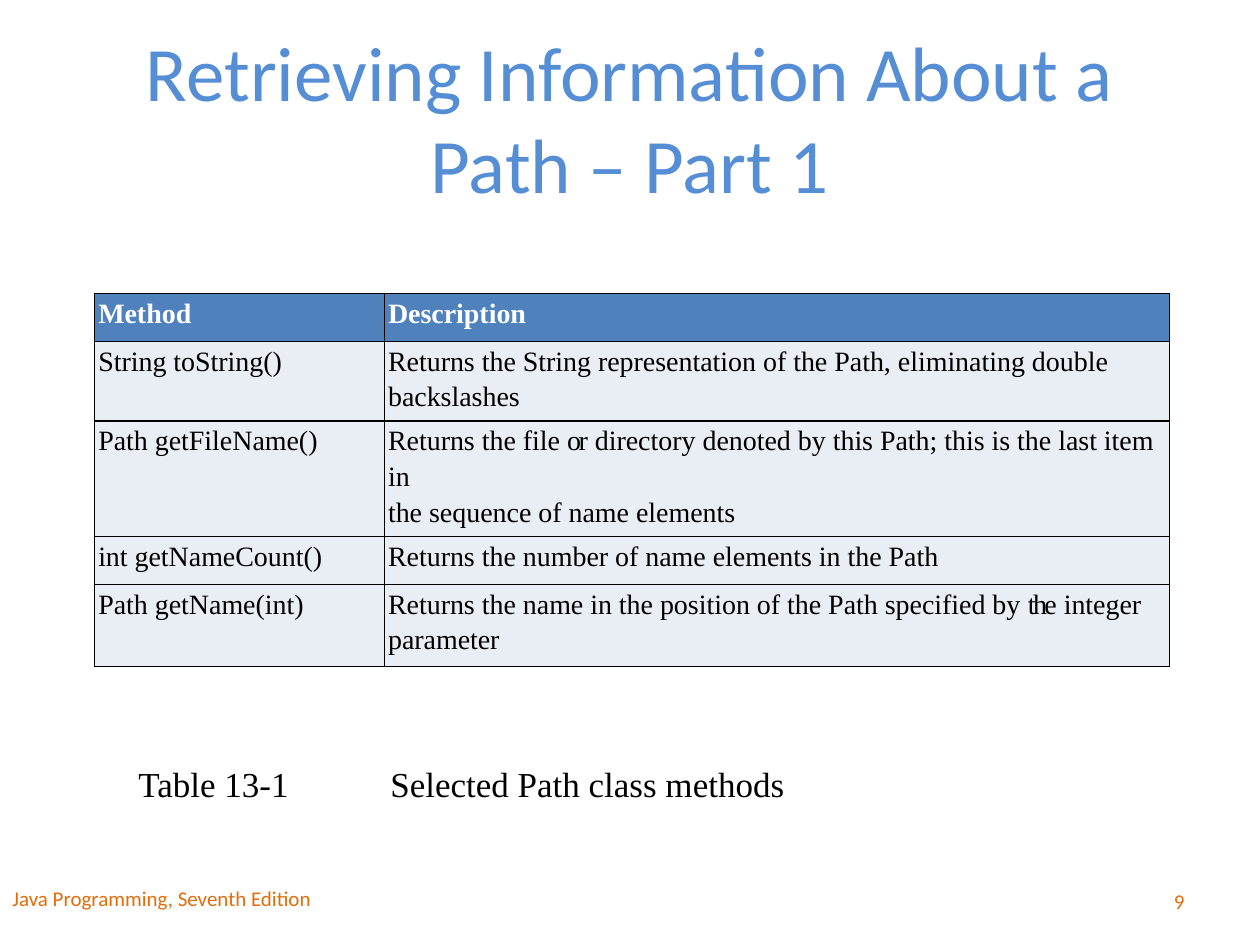
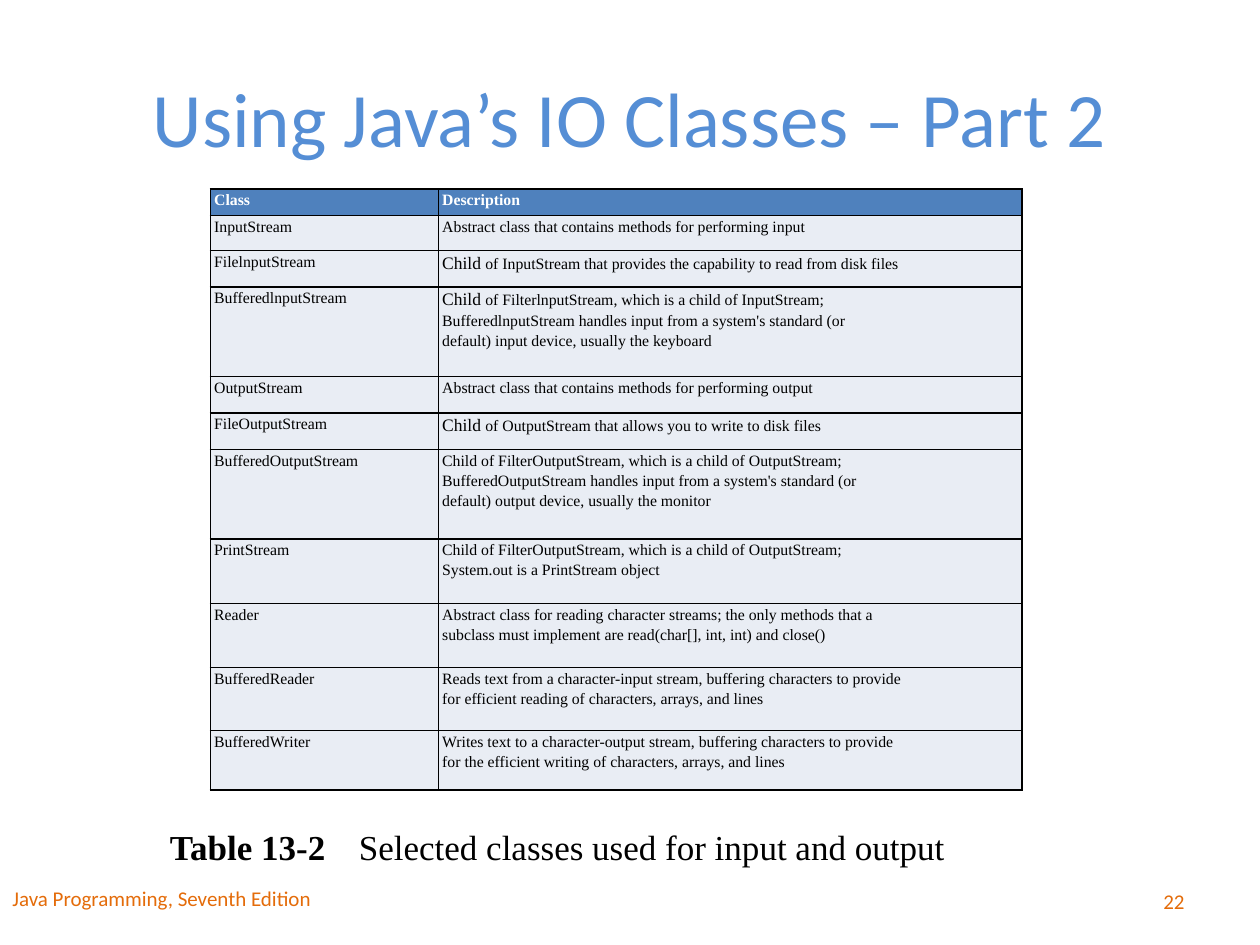
from pptx import Presentation
from pptx.dml.color import RGBColor
from pptx.enum.text import MSO_ANCHOR, PP_ALIGN
from pptx.oxml import parse_xml
from pptx.oxml.ns import nsdecls
from pptx.util import Inches, Pt

COLORS = {"title": "558ED5", "foot": "E46C0A", "head": "4F81BD",
          "body": "E9EDF4", "ink": "000000", "white": "FFFFFF"}
SANS, SERIF = "Calibri", "Times New Roman"
TITLE, FOOT, PAGE = (0.5, 0.3, 9, 1.25), (0, 6.92, 6.42, 0.42), (7.17, 6.95, 2.33, 0.4)


def tight(text):
    return text, {"spc": -1.5}


CHILD = ("Child ", {"size": 10})

# A cell is a list of lines; a line is a list of runs, plain or (text, options).
METHODS = [
    ("String toString()", [
        ["Returns the String representation of the Path, eliminating double"],
        ["backslashes"]]),
    ("Path getFileName()", [
        ["Returns the file ", tight("or"),
         " directory denoted by this Path; this is the last item in"],
        ["the sequence of name elements"]]),
    ("int getNameCount()", [["Returns the number of name elements in the Path"]]),
    ("Path getName(int)", [
        ["Returns the name in the position of the Path specified by ",
         tight("the"), " integer"],
        ["parameter"]]),
]
CLASSES = [
    ("InputStream", [["Abstract class that contains methods for performing input"]]),
    ("FilelnputStream", [
        [CHILD, "of InputStream that provides the capability to read from disk files"]]),
    ("BufferedlnputStream", [
        [CHILD, "of FilterlnputStream, which is a child of InputStream;"],
        ["BufferedlnputStream handles input from a system's standard (or"],
        ["default) input device, usually the keyboard"]]),
    ("OutputStream", [["Abstract class that contains methods for performing output"]]),
    ("FileOutputStream", [
        [CHILD, "of OutputStream that allows you to write to disk files"]]),
    ("BufferedOutputStream", [
        ["Child of FilterOutputStream, which is a child of OutputStream;"],
        ["BufferedOutputStream handles input from a system's standard (or"],
        ["default) output device, usually the monitor"]]),
    ("PrintStream", [
        ["Child of FilterOutputStream, which is a child of OutputStream;"],
        ["System.out is a PrintStream object"]]),
    ("Reader", [
        ["Abstract class for reading character streams; the only methods that a"],
        ["subclass must implement are read(char[], int, int) and close()"]]),
    ("BufferedReader", [
        ["Reads text from a character-input stream, buffering characters to provide"],
        ["for efficient reading of characters, arrays, and lines"]]),
    ("BufferedWriter", [
        ["Writes text to a character-output stream, buffering characters to provide"],
        ["for the efficient writing of characters, arrays, and lines"]]),
]


def add_run(para, text, font, size, color, bold=False, spc=0):
    run = para.add_run()
    run.text = text
    run.font.name, run.font.size, run.font.bold = font, Pt(size), bold
    run.font.color.rgb = RGBColor.from_string(COLORS[color])
    if spc:
        run.font._element.set("spc", str(int(spc * 100)))


def add_text(slide, box, runs, font, size, color,
             align=PP_ALIGN.LEFT, anchor=MSO_ANCHOR.MIDDLE):
    """Place one paragraph of (text, bold) runs in a box."""
    frame = slide.shapes.add_textbox(*map(Inches, box)).text_frame
    frame.word_wrap, frame.vertical_anchor = True, anchor
    para = frame.paragraphs[0]
    para.alignment = align
    for text, bold in runs:
        add_run(para, text, font, size, color, bold)


def add_frame(slide, title, page):
    """Add the title and the footer that every slide has."""
    add_text(slide, TITLE, [(title, False)], SANS, 44, "title", PP_ALIGN.CENTER)
    add_text(slide, PAGE, [(str(page), False)], SANS, 12, "foot", PP_ALIGN.RIGHT)
    add_text(slide, FOOT, [("Java Programming, Seventh Edition", False)],
             SANS, 12, "foot")


def add_border(cell):
    props = cell._tc.get_or_add_tcPr()
    for i, side in enumerate(("lnL", "lnR", "lnT", "lnB")):
        props.insert(i, parse_xml(
            f'<a:{side} {nsdecls("a")} w="12700"><a:solidFill>'
            f'<a:srgbClr val="{COLORS["ink"]}"/></a:solidFill></a:{side}>'))


def fill_cell(cell, lines, size, head):
    cell.margin_left = cell.margin_right = Inches(0.03)
    cell.margin_top = cell.margin_bottom = 0
    cell.fill.solid()
    cell.fill.fore_color.rgb = RGBColor.from_string(COLORS["head" if head else "body"])
    add_border(cell)
    frame = cell.text_frame
    for i, line in enumerate(lines):
        para = frame.add_paragraph() if i else frame.paragraphs[0]
        para.line_spacing = 1.15
        for part in line:
            text, opts = (part, {}) if isinstance(part, str) else part
            style = {"size": size, "color": "white" if head else "ink", **opts}
            add_run(para, text, SERIF, bold=head, **style)


def add_grid(slide, left, top, cols, heights, label, data, size):
    rows = [(label, [["Description"]])] + data
    table = slide.shapes.add_table(
        len(rows), len(cols), Inches(left), Inches(top),
        Inches(sum(cols)), Inches(sum(heights))).table
    table.horz_banding = False
    for col, width in zip(table.columns, cols):
        col.width = Inches(width)
    for r, (name, about) in enumerate(rows):
        table.rows[r].height = Inches(heights[r])
        for c, lines in enumerate(([[name]], about)):
            fill_cell(table.cell(r, c), lines, size, r == 0)


def add_slide(deck, title, page, grid, box, caption):
    slide = deck.slides.add_slide(deck.slide_layouts[6])
    add_frame(slide, title, page)
    add_text(slide, box, caption, SERIF, 20, "ink", anchor=MSO_ANCHOR.TOP)
    add_grid(slide, *grid)


def main():
    deck = Presentation()
    deck.slide_width, deck.slide_height = Inches(10), Inches(7.5)
    add_slide(deck, "Retrieving Information About a Path – Part 1", 9,
              (0.75, 2.33, (2.3, 6.23), (0.38, 0.63, 0.68, 0.38, 0.65),
               "Method", METHODS, 16),
              (1, 6, 7.67, 0.44),
              [("Table 13-1\t\tSelected Path class methods", False)])
    add_slide(deck, "Using Java’s IO Classes – Part 2", 22,
              (1.67, 1.5, (1.81, 4.63),
               (0.21, 0.28, 0.29, 0.71, 0.29, 0.29, 0.71, 0.51, 0.51, 0.5, 0.47),
               "Class", CLASSES, 9),
              (1.25, 6.5, 6.92, 0.44),
              [("Table 13-2\t", True),
               ("Selected classes used for input and output", False)])
    deck.save("out.pptx")


if __name__ == "__main__":
    main()
